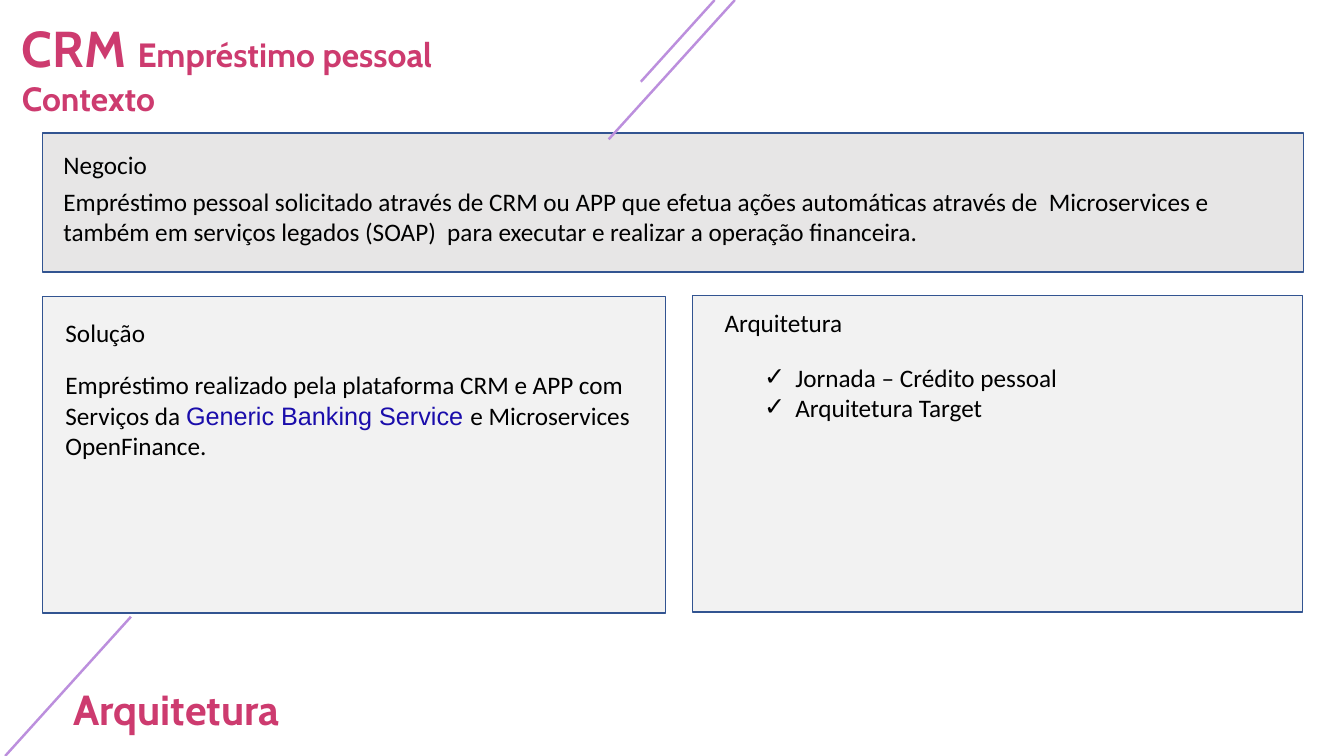
from dataclasses import dataclass
from typing import NamedTuple

from lxml.etree import SubElement
from pptx import Presentation
from pptx.dml.color import RGBColor
from pptx.enum.shapes import MSO_CONNECTOR, MSO_SHAPE
from pptx.enum.text import MSO_ANCHOR, MSO_AUTO_SIZE, PP_ALIGN
from pptx.oxml.ns import qn
from pptx.slide import Slide
from pptx.text.text import TextFrame
from pptx.util import Cm, Pt


@dataclass(frozen=True)
class Theme:
    pink: str = "CD3B6F"
    lilac: str = "BC8FDD"
    edge: str = "325491"
    dark: str = "E7E6E6"
    light: str = "F2F2F2"
    ink: str = "000000"
    link: str = "1A0DAB"
    head: str = "Cabin"
    body: str = "Calibri"
    alt: str = "Arial"
    big: float = 36
    foot: float = 30
    mid: float = 24
    text: float = 18
    thin: float = 1
    stroke: float = 1.75


THEME = Theme()


class Box(NamedTuple):
    left: float
    top: float
    width: float
    height: float

    def cm(self) -> list[Cm]:
        return [Cm(n) for n in self]


class Panel(NamedTuple):
    box: Box
    fill: str


class Line(NamedTuple):
    x1: float
    y1: float
    x2: float
    y2: float


class Run(NamedTuple):
    text: str
    size: float = THEME.text
    font: str = THEME.body
    color: str = THEME.ink
    bold: bool = False


class Label(NamedTuple):
    box: Box
    runs: list[Run]


def title_run(text: str, size: float) -> Run:
    return Run(text, size, THEME.head, THEME.pink, True)


PANELS = [
    Panel(Box(1.07, 3.35, 31.78, 3.51), THEME.dark),
    Panel(Box(1.07, 7.47, 15.7, 7.98), THEME.light),
    Panel(Box(17.45, 7.44, 15.37, 7.98), THEME.light),
]
LINES = [
    Line(18.01, 0, 16.15, 2.06),
    Line(18.52, 0, 15.34, 3.51),
    Line(3.3, 15.54, 0.13, 19.05),
]
LABELS = [
    Label(Box(1.35, 3.63, 3.5, 1.02), [Run("Negocio")]),
    Label(Box(1.35, 4.57, 30.25, 2.57), [Run(
        "Empréstimo pessoal solicitado através de CRM ou APP que efetua ações "
        "automáticas através de  Microservices e também em serviços legados "
        "(SOAP)  para executar e realizar a operação financeira.")]),
    Label(Box(1.4, 7.87, 3.5, 1.02), [Run("Solução")]),
    Label(Box(1.4, 9.19, 15.19, 2.57), [
        Run("Empréstimo realizado pela plataforma CRM e APP com Serviços da "),
        Run("Generic Banking Service ", font=THEME.alt, color=THEME.link),
        Run("e Microservices OpenFinance."),
    ]),
    Label(Box(18.01, 7.62, 3.5, 1.02), [Run("Arquitetura")]),
    Label(Box(1.6, 17.09, 6.5, 1.63), [title_run("Arquitetura", THEME.foot)]),
]
TITLE = [
    [title_run("CRM ", THEME.big), title_run("Empréstimo pessoal", THEME.mid)],
    [title_run("Contexto", THEME.mid)],
]
ITEMS = [[Run("Jornada – Crédito pessoal")], [Run("Arquitetura Target")]]


def apply(target: object, values: dict[str, object]) -> None:
    for name, value in values.items():
        setattr(target, name, value)


def write(frame: TextFrame, rows: list[list[Run]]) -> None:
    apply(frame, {"word_wrap": True, "auto_size": MSO_AUTO_SIZE.NONE,
                  "vertical_anchor": MSO_ANCHOR.TOP})
    for i, row in enumerate(rows):
        para = frame.add_paragraph() if i else frame.paragraphs[0]
        apply(para, {"alignment": PP_ALIGN.LEFT,
                     "space_before": Pt(0), "space_after": Pt(0)})
        for item in row:
            run = para.add_run()
            run.text = item.text
            apply(run.font, {"name": item.font, "size": Pt(item.size),
                             "bold": item.bold})
            run.font.color.rgb = RGBColor.from_string(item.color)


def add_panel(slide: Slide, panel: Panel) -> None:
    shape = slide.shapes.add_shape(MSO_SHAPE.RECTANGLE, *panel.box.cm())
    shape.shadow.inherit = False
    shape.fill.solid()
    shape.fill.fore_color.rgb = RGBColor.from_string(panel.fill)
    shape.line.color.rgb = RGBColor.from_string(THEME.edge)
    shape.line.width = Pt(THEME.thin)


def add_line(slide: Slide, line: Line) -> None:
    link = slide.shapes.add_connector(
        MSO_CONNECTOR.STRAIGHT, *[Cm(n) for n in line])
    link.line.color.rgb = RGBColor.from_string(THEME.lilac)
    link.line.width = Pt(THEME.stroke)
    SubElement(link._element.spPr, qn("a:effectLst"))


def add_label(slide: Slide, label: Label) -> None:
    write(slide.shapes.add_textbox(*label.box.cm()).text_frame, [label.runs])


def fill_holder(holder: object, box: Box, rows: list[list[Run]]) -> None:
    apply(holder, dict(zip(Box._fields, box.cm())))
    write(holder.text_frame, rows)


def add_ticks(frame: TextFrame) -> None:
    for para in frame.paragraphs:
        props = para._p.get_or_add_pPr()
        props.set("marL", str(Cm(0.79)))
        props.set("indent", str(-Cm(0.79)))
        SubElement(props, qn("a:buChar")).set("char", "✓")


def main() -> None:
    deck = Presentation()
    apply(deck, {"slide_width": Cm(33.87), "slide_height": Cm(19.05)})
    slide = deck.slides.add_slide(deck.slide_layouts[1])
    for panel in PANELS:
        add_panel(slide, panel)
    for line in LINES:
        add_line(slide, line)
    for label in LABELS:
        add_label(slide, label)
    fill_holder(slide.shapes.title, Box(0.3, 0.3, 14.86, 2.82), TITLE)
    body = slide.placeholders[1]
    fill_holder(body, Box(19, 8.99, 8.38, 1.8), ITEMS)
    add_ticks(body.text_frame)
    slide.shapes._spTree.append(body._element)  # in front of its panel
    deck.save("out.pptx")


if __name__ == "__main__":
    main()
